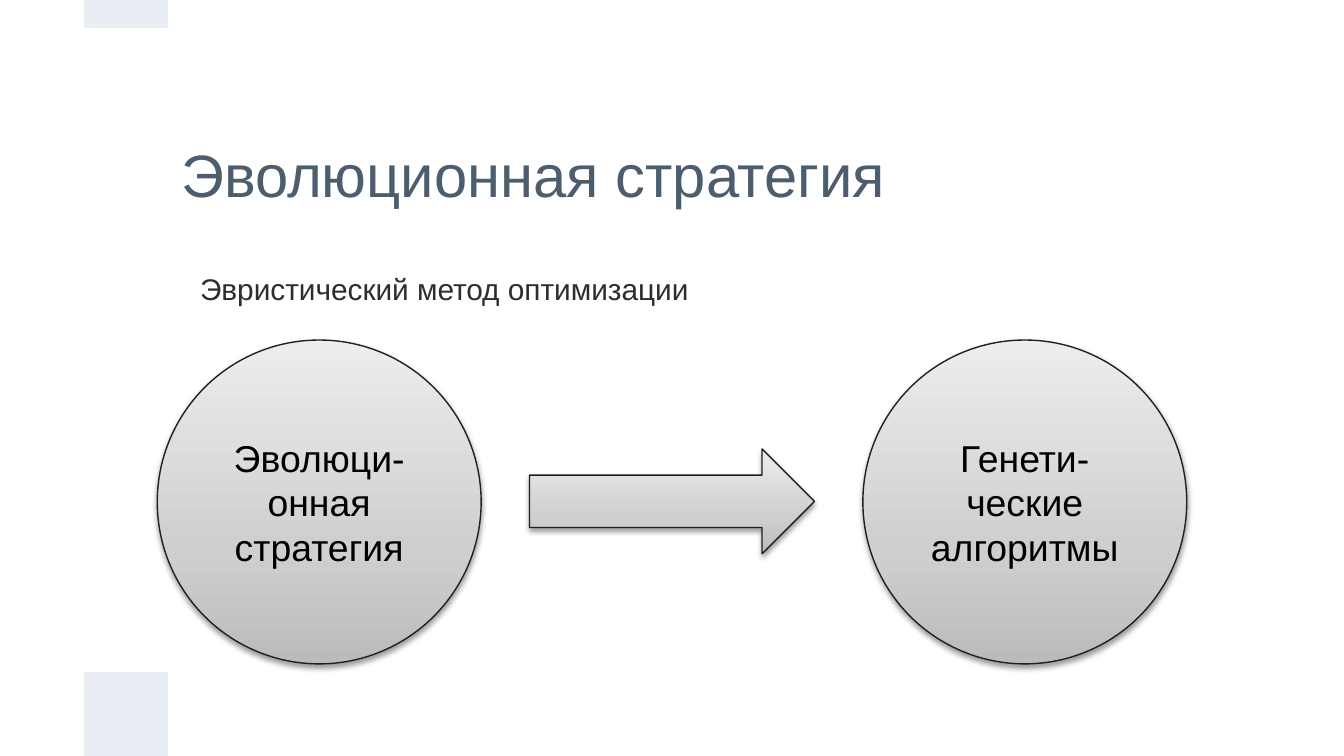
from pptx import Presentation
from pptx.dml.color import RGBColor
from pptx.enum.shapes import MSO_SHAPE
from pptx.enum.text import MSO_ANCHOR, PP_ALIGN
from pptx.oxml import parse_xml
from pptx.oxml.ns import nsdecls, qn
from pptx.util import Inches, Pt

COLORS = {
    "title": "4C5D6E",
    "body": "2C2D30",
    "label": "000000",
    "accent": "E9EDF4",
    "outline": "202020",
    "shadow": "000000",
    "dark": "BBBBBB",
    "middle": "CFCFCF",
    "light": "EDEDED",
}
STOPS = [(0, "dark"), (35, "middle"), (100, "light")]
FONT = "Arial"
UNIT = Inches(10) // 16


def rgb(name):
    """Return the named colour."""
    return RGBColor.from_string(COLORS[name])


def style_paragraph(p, size, color):
    """Set the font of a paragraph."""
    p.font.name = FONT
    p.font.size = Pt(size)
    p.font.color.rgb = rgb(color)


def add_text(s, top, height, text, size, color, anchor=MSO_ANCHOR.TOP, indent=0):
    """Add a wrapped one-paragraph text box, placed in grid units."""
    box = s.shapes.add_textbox(2 * UNIT, top * UNIT, 12 * UNIT, height * UNIT)
    tf = box.text_frame
    tf.word_wrap = True
    tf.vertical_anchor = anchor
    tf.margin_left = tf.margin_right = Inches(0.1)
    tf.margin_top = tf.margin_bottom = Inches(0.1)
    p = tf.paragraphs[0]
    p.text = text
    p.line_spacing = 1.15
    if indent:
        p._p.get_or_add_pPr().set("marL", str(Inches(indent)))
    style_paragraph(p, size, color)


def add_accent(s, top, height):
    """Add a plain block at the slide edge."""
    sp = s.shapes.add_shape(MSO_SHAPE.RECTANGLE, UNIT, top, UNIT, height)
    sp.shadow.inherit = False
    sp.fill.solid()
    sp.fill.fore_color.rgb = rgb("accent")
    sp.line.fill.background()


def add_gradient_shape(s, kind, box):
    """Add an outlined shape with a grey gradient and a soft shadow."""
    sp = s.shapes.add_shape(kind, *map(Inches, box))
    sp.line.color.rgb = rgb("outline")
    sp.line.width = Pt(0.75)
    sp.fill.gradient()
    stops = "".join(
        f'<a:gs pos="{pos * 1000}"><a:srgbClr val="{COLORS[name]}"/></a:gs>'
        for pos, name in STOPS
    )
    gradient = parse_xml(
        f'<a:gradFill {nsdecls("a")} rotWithShape="1"><a:gsLst>{stops}</a:gsLst>'
        '<a:lin ang="16200000" scaled="0"/></a:gradFill>'
    )
    sp_pr = sp._element.spPr
    sp_pr.replace(sp_pr.find(qn("a:gradFill")), gradient)
    sp.shadow.inherit = False
    sp_pr.find(qn("a:effectLst")).append(parse_xml(
        f'<a:outerShdw {nsdecls("a")} blurRad="{Pt(3.1)}" dist="{Pt(1.6)}" '
        f'dir="5400000" rotWithShape="0"><a:srgbClr val="{COLORS["shadow"]}">'
        '<a:alpha val="38000"/></a:srgbClr></a:outerShdw>'
    ))
    return sp


def add_circle(s, left, text):
    """Add a labelled circle."""
    sp = add_gradient_shape(s, MSO_SHAPE.OVAL, (left, 2.53, 2.41, 2.41))
    tf = sp.text_frame
    tf.word_wrap = True
    tf.vertical_anchor = MSO_ANCHOR.MIDDLE
    p = tf.paragraphs[0]
    p.text = text
    p.alignment = PP_ALIGN.CENTER
    style_paragraph(p, 20, "label")


def main():
    """Build the slide and save it."""
    prs = Presentation()
    prs.slide_width, prs.slide_height = 16 * UNIT, 9 * UNIT
    s = prs.slides.add_slide(prs.slide_layouts[6])
    add_text(s, 1, 2, "Эволюционная стратегия", 32, "title", anchor=MSO_ANCHOR.MIDDLE)
    add_text(s, 3, 5, "Эвристический метод оптимизации", 16, "body", indent=0.14)
    add_accent(s, 8 * UNIT, UNIT)
    add_accent(s, 0, UNIT // 3)
    add_circle(s, 1.17, "Эволюци-онная стратегия")
    add_circle(s, 6.42, "Генети-ческие алгоритмы")
    add_gradient_shape(s, MSO_SHAPE.RIGHT_ARROW, (3.94, 3.34, 2.12, 0.78))
    prs.save("out.pptx")


if __name__ == "__main__":
    main()
